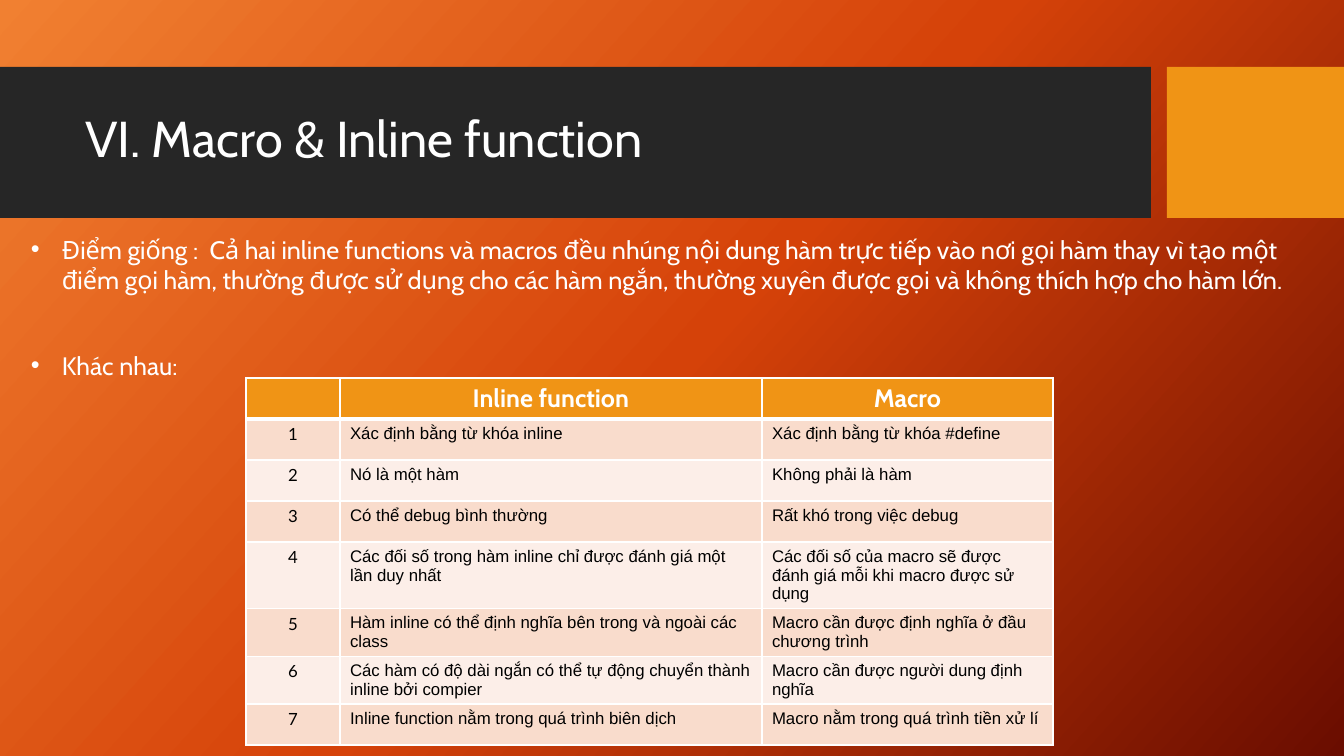
from copy import deepcopy

from lxml.etree import SubElement
from pptx import Presentation
from pptx.dml.color import RGBColor as Rgb
from pptx.enum.shapes import MSO_SHAPE as Shape
from pptx.enum.text import MSO_ANCHOR as Anchor, MSO_AUTO_SIZE as Fit, PP_ALIGN as Align
from pptx.oxml.ns import qn
from pptx.util import Pt

SCALE = 914400 / 100.8
WHITE = Rgb(0xFF, 0xFF, 0xFF)
BLACK = Rgb(0, 0, 0)
DARK = Rgb(0x26, 0x26, 0x26)
AMBER = Rgb(0xF0, 0x94, 0x15)
BANDS = Rgb(0xF9, 0xDC, 0xCC), Rgb(0xFC, 0xEE, 0xE8)
GLOW = Rgb(0xF1, 0x80, 0x31), Rgb(0xD5, 0x42, 0x09), Rgb(0x6A, 0x0D, 0x00)

TITLE = "VI. Macro & Inline function"
ALIKE = (
    "Điểm giống :  Cả hai inline functions và macros đều nhúng nội dung hàm trực tiếp "
    "vào nơi gọi hàm thay vì tạo một điểm gọi hàm, thường được sử dụng cho các hàm ngắn, "
    "thường xuyên được gọi và không thích hợp cho hàm lớn."
)
DIFFER = "Khác nhau: "
HEADS = "", "Inline function", "Macro"
PAIRS = [
    ("Xác định bằng từ khóa inline", "Xác định bằng từ khóa #define"),
    ("Nó là một hàm", "Không phải là hàm"),
    ("Có thể debug bình thường", "Rất khó trong việc debug"),
    ("Các đối số trong hàm inline chỉ được đánh giá một lần duy nhất",
     "Các đối số của macro sẽ được đánh giá mỗi khi macro được sử dụng"),
    ("Hàm inline có thể định nghĩa bên trong và ngoài các class",
     "Macro cần được định nghĩa ở đầu chương trình"),
    ("Các hàm có độ dài ngắn có thể tự động chuyển thành inline bởi compier",
     "Macro cần được người dung định nghĩa"),
    ("Inline function nằm trong quá trình biên dịch",
     "Macro nằm trong quá trình tiền xử lí"),
]
COLS = 94, 422, 291
ROW = 41


def px(*nums):
    """Turn pixels into a list of EMU lengths."""
    return [round(n * SCALE) for n in nums]


def style(para, face, size, color, bold=False):
    """Set the font of a paragraph."""
    font = para.font
    font.name, font.size, font.bold = face, Pt(size), bold
    font.color.rgb = color


def paint(slide):
    """Fill the background with a diagonal gradient of three stops."""
    fill = slide.background.fill
    fill.gradient()
    fill.gradient_angle = 360 - 42
    stops = slide.element.find(".//" + qn("a:gsLst"))
    stops.append(deepcopy(stops[-1]))
    for i, (stop, color) in enumerate(zip(fill.gradient_stops, GLOW)):
        stop.position = i / 2
        stop.color.rgb = color


def bar(slide, box, color):
    """Draw a plain filled rectangle."""
    rect = slide.shapes.add_shape(Shape.RECTANGLE, *px(*box))
    rect.shadow.inherit = False
    rect.fill.solid()
    rect.fill.fore_color.rgb = color
    rect.line.fill.background()


def header(slide, box):
    """Draw the title band with its amber block and place the title."""
    x, y, w, h = box
    bar(slide, (x, y, w - 193, h), DARK)
    bar(slide, (x + w - 177, y, 177, h), AMBER)
    title = slide.shapes.title
    slide.shapes._spTree.append(title.element)
    title.left, title.top, title.width, title.height = px(x + 75, y + 15, 1059, 119)
    frame = title.text_frame
    frame.text = TITLE
    frame.auto_size, frame.vertical_anchor = Fit.NONE, Anchor.MIDDLE
    para = frame.paragraphs[0]
    para.alignment, para.line_spacing = Align.LEFT, 0.9
    style(para, "Cabin", 36, WHITE)


def bullet(slide, box, text, wrap=True):
    """Place a text box with one bulleted paragraph."""
    frame = slide.shapes.add_textbox(*px(*box)).text_frame
    frame.word_wrap, frame.auto_size = wrap, Fit.SHAPE_TO_FIT_TEXT
    frame.text = text
    para = frame.paragraphs[0]
    style(para, "Cabin", 18, WHITE)
    props = para._p.get_or_add_pPr()
    dent, = px(31)
    props.set("marL", str(dent))
    props.set("indent", str(-dent))
    SubElement(props, qn("a:buFont"), typeface="Arial")
    SubElement(props, qn("a:buChar"), char="•")


def edge(cell, side, width):
    """Draw one white border of a cell."""
    line = SubElement(cell._tc.get_or_add_tcPr(), qn("a:ln" + side), w=str(Pt(width)))
    SubElement(SubElement(line, qn("a:solidFill")), qn("a:srgbClr"), val=str(WHITE))


def grid(slide, box):
    """Build the table that compares inline functions and macros."""
    rows = [HEADS] + [(str(i), *pair) for i, pair in enumerate(PAIRS, 1)]
    table = slide.shapes.add_table(len(rows), len(COLS), *px(*box)).table
    for col, width in zip(table.columns, px(*COLS)):
        col.width = width
    for r, texts in enumerate(rows):
        table.rows[r].height, = px(ROW)
        for c, text in enumerate(texts):
            cell = table.cell(r, c)
            for side in "LRTB":
                thick = (r, side) in ((0, "B"), (1, "T"))
                edge(cell, side, 3 if thick else 1)
            cell.fill.solid()
            cell.fill.fore_color.rgb = BANDS[(r - 1) % 2] if r else AMBER
            cell.text = text
            para = cell.text_frame.paragraphs[0]
            para.alignment = Align.LEFT if r and c else Align.CENTER
            if r:
                style(para, "Arial" if c else "Lato", 12, BLACK)
            else:
                style(para, "Cabin", 18, WHITE, True)


def build():
    """Make the slide and save it."""
    deck = Presentation()
    deck.slide_width, deck.slide_height = px(1344, 756)
    slide = deck.slides.add_slide(deck.slide_layouts[5])
    paint(slide)
    header(slide, (0, 67, 1344, 151))
    grid(slide, (246, 378, sum(COLS), ROW * (len(PAIRS) + 1)))
    bullet(slide, (21, 229, 1292, 102), ALIKE)
    bullet(slide, (21, 345, 186, 40), DIFFER, False)
    deck.save("out.pptx")


build()
